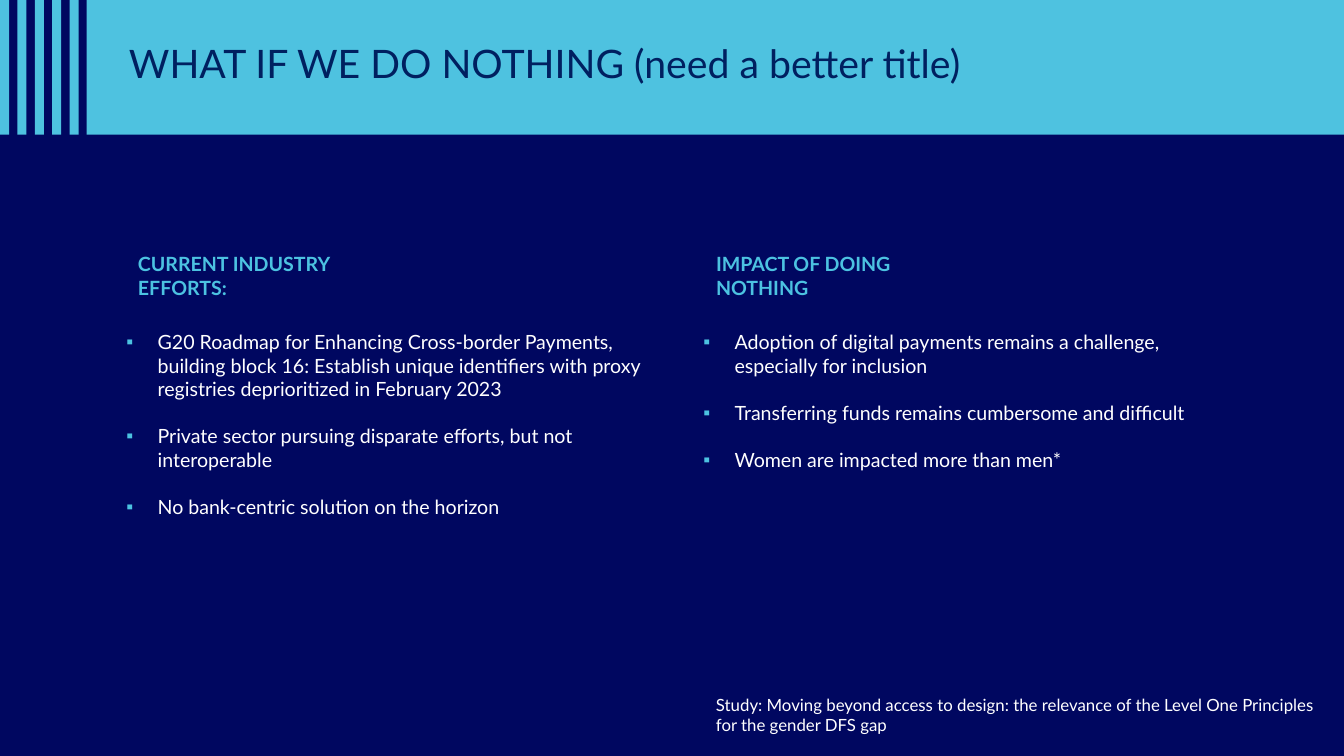
from lxml.etree import SubElement
from pptx import Presentation
from pptx.dml.color import RGBColor
from pptx.enum.shapes import MSO_SHAPE
from pptx.enum.text import MSO_ANCHOR
from pptx.oxml.ns import qn
from pptx.util import Inches, Pt

NAVY, SKY, WHITE = "000760", "4EC2E0", "FFFFFF"
ACCENT, TITLE = "4CC2E1", "002060"
WIDTH, HEIGHT, BAND = 26.67, 15, 2.67

COLUMNS = [
    (2.41, 2.64, 5.13, "CURRENT INDUSTRY EFFORTS:", [
        "G20 Roadmap for Enhancing Cross-border Payments, building block 16: "
        "Establish unique identifiers with proxy registries deprioritized "
        "in February 2023",
        "Private sector pursuing disparate efforts, but not interoperable",
        "No bank-centric solution on the horizon",
    ]),
    (13.86, 14.11, 4.92, "IMPACT OF DOING NOTHING", [
        "Adoption of digital payments remains a challenge, "
        "especially for inclusion",
        "Transferring funds remains cumbersome and difficult",
        "Women are impacted more than men*",
    ]),
]


def color(code):
    return RGBColor.from_string(code)


def add_rect(slide, left, top, width, height, fill):
    shape = slide.shapes.add_shape(
        MSO_SHAPE.RECTANGLE, *map(Inches, (left, top, width, height)))
    shape.shadow.inherit = False
    shape.fill.solid()
    shape.fill.fore_color.rgb = color(fill)
    shape.line.fill.background()


def add_bullet(para):
    props = para._p.get_or_add_pPr()
    props.set("marL", str(Inches(0.62)))
    props.set("indent", str(-Inches(0.62)))
    tint = SubElement(props, qn("a:buClr"))
    SubElement(tint, qn("a:srgbClr"), val=ACCENT)
    SubElement(props, qn("a:buFont"), typeface="Arial")
    SubElement(props, qn("a:buChar"), char="▪")


def add_text(slide, box, lines, size=28, fill=WHITE, bold=False,
             bullet=False, gap=0, inset=0.1, spacing=None,
             anchor=MSO_ANCHOR.TOP):
    frame = slide.shapes.add_textbox(*map(Inches, box)).text_frame
    frame.word_wrap = True
    frame.vertical_anchor = anchor
    frame.margin_left = frame.margin_right = Inches(inset)
    frame.margin_top = frame.margin_bottom = Inches(inset / 2)
    for i, line in enumerate(lines):
        para = frame.paragraphs[0] if i == 0 else frame.add_paragraph()
        if bullet:
            add_bullet(para)
        if i:
            para.space_before = Pt(gap)
        if spacing:
            para.line_spacing = spacing
        run = para.add_run()
        run.text = line
        run.font.name = "Lato"
        run.font.size = Pt(size)
        run.font.bold = bold
        run.font.color.rgb = color(fill)


def add_band(slide):
    """Header band with its row of stripes at the left."""
    add_rect(slide, 1.72, 0, WIDTH - 1.72, BAND, SKY)
    for i in range(5):
        add_rect(slide, i * 0.345, 0, 0.18, BAND, SKY)


def add_column(slide, left, head_left, head_width, head, points):
    add_text(slide, (head_left, 4.95, head_width, 1.04), [head],
             fill=ACCENT, bold=True)
    height = 3.87 if left < WIDTH / 2 - 1 else 2.93
    add_text(slide, (left, 6.5, 10.4, height), points, bullet=True, gap=33.6)


def main():
    deck = Presentation()
    deck.slide_width, deck.slide_height = Inches(WIDTH), Inches(HEIGHT)
    slide = deck.slides.add_slide(deck.slide_layouts[6])
    slide.background.fill.solid()
    slide.background.fill.fore_color.rgb = color(NAVY)
    add_band(slide)
    add_text(slide, (2.36, 0.79, 23.92, 1.05),
             ["WHAT IF WE DO NOTHING (need a better title)"], size=56,
             fill=TITLE, inset=0.2, spacing=0.9, anchor=MSO_ANCHOR.MIDDLE)
    for column in COLUMNS:
        add_column(slide, *column)
    add_text(slide, (14.11, 13.74, 12.17, 0.91),
             ["Study: Moving beyond access to design: the relevance of the "
              "Level One Principles for the gender DFS gap"], size=24)
    deck.save("out.pptx")


if __name__ == "__main__":
    main()
